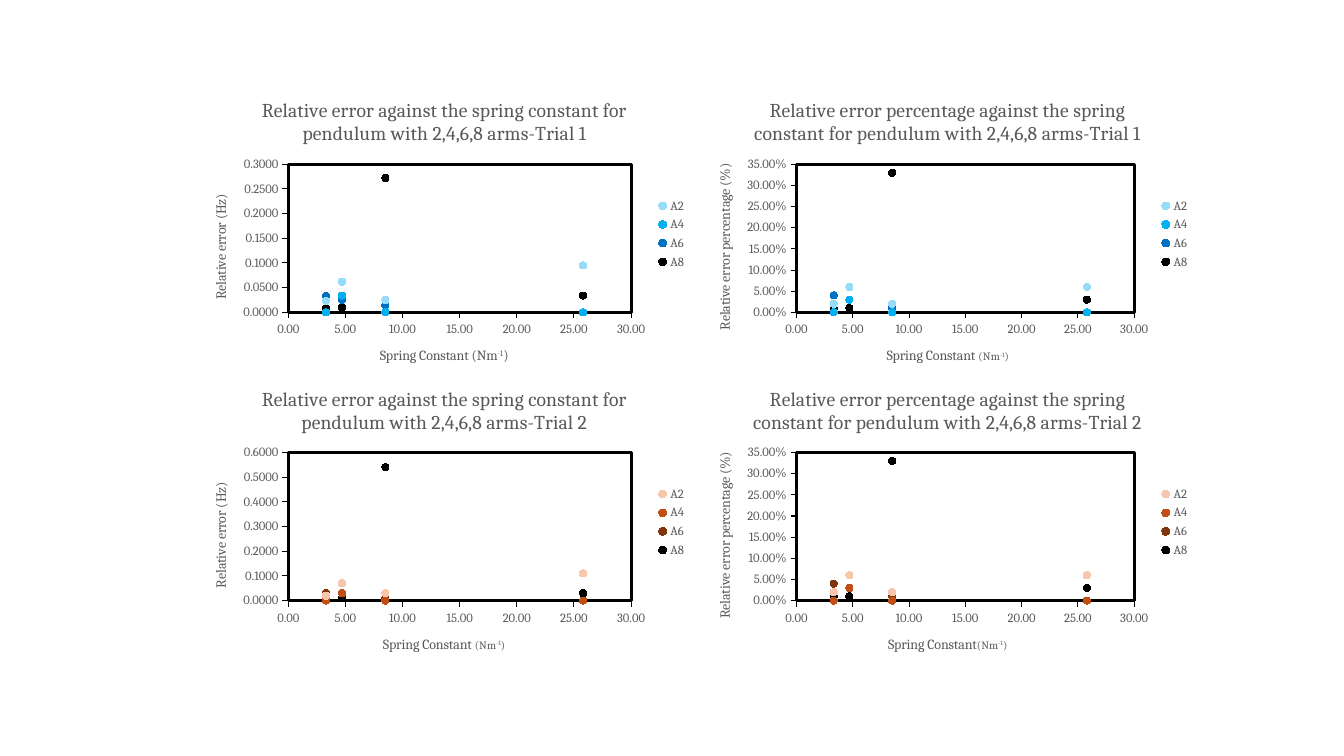
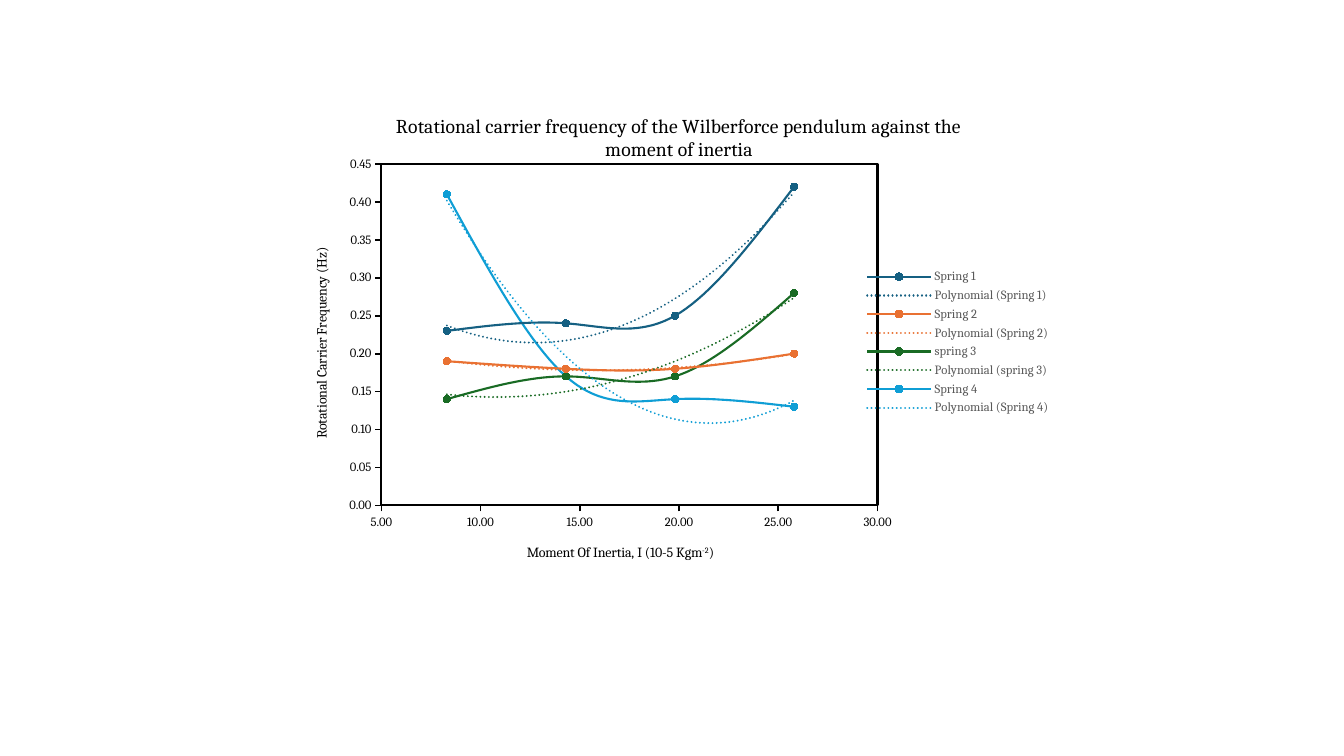
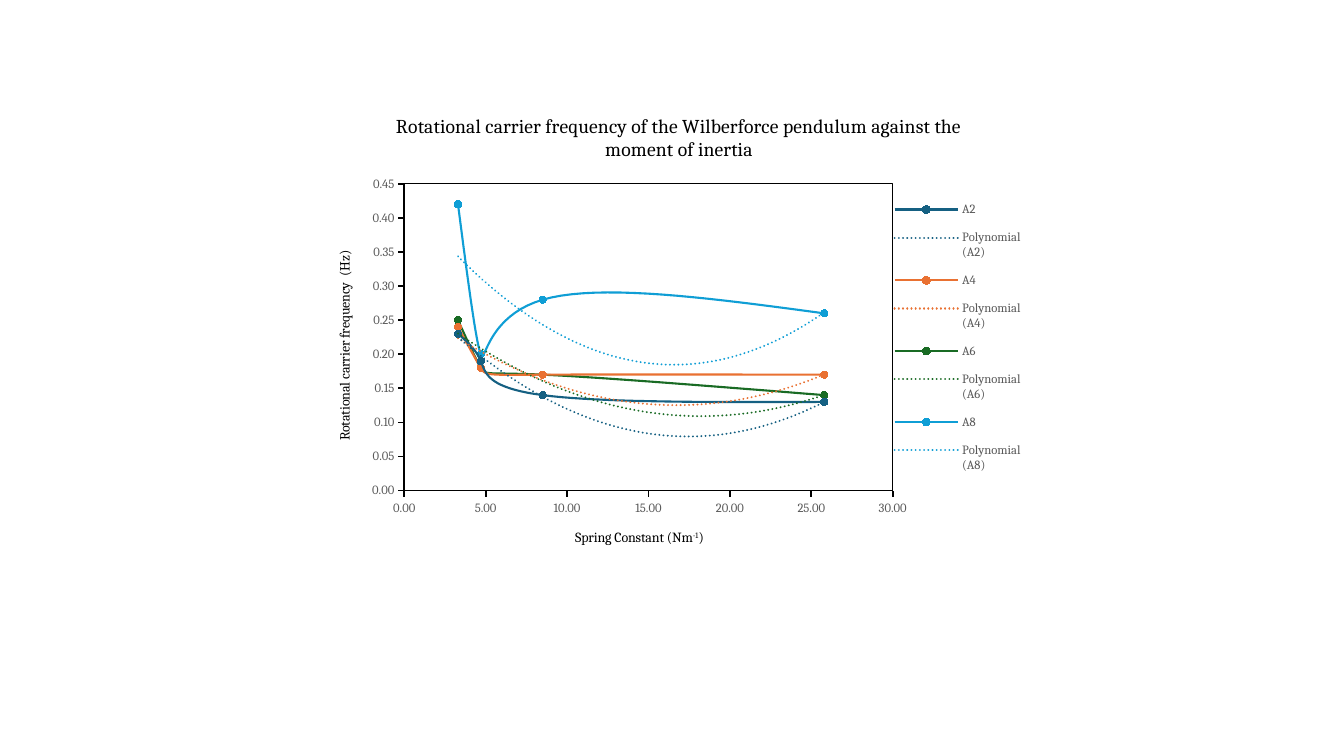
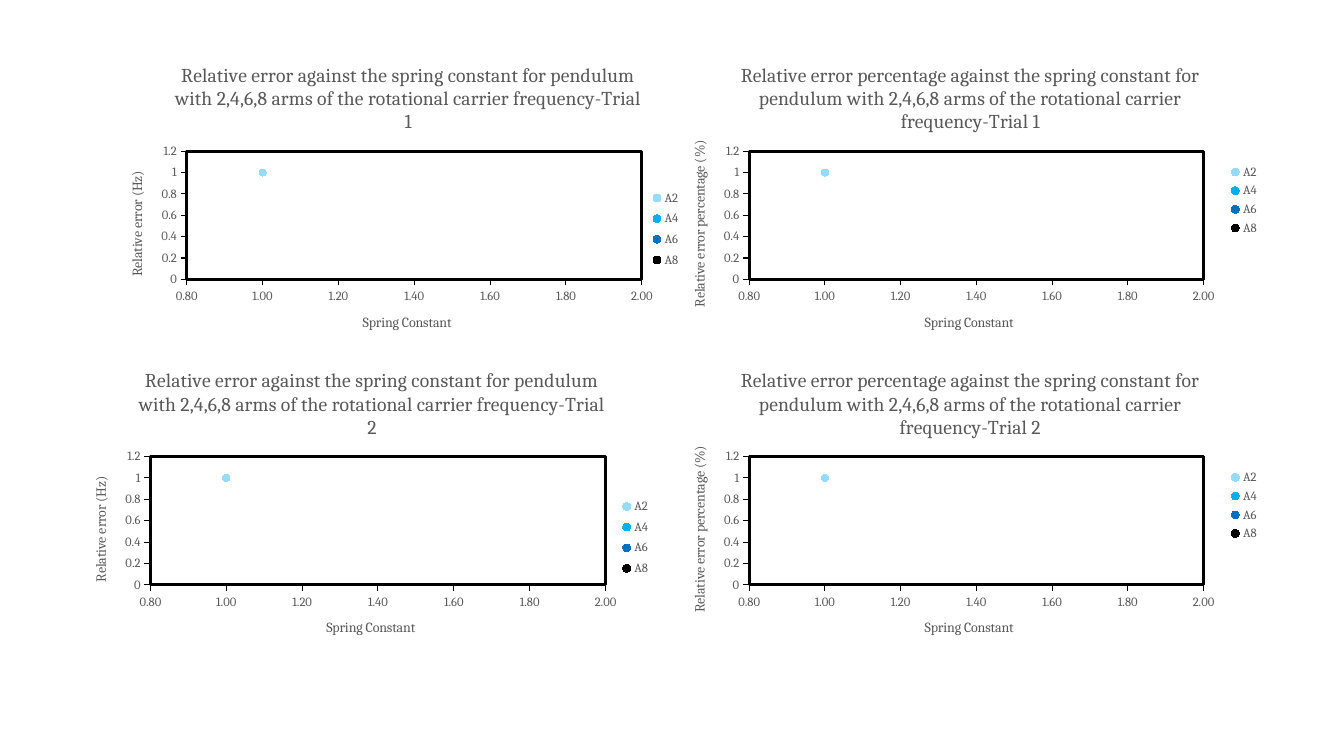
from dataclasses import dataclass
from typing import NamedTuple

from lxml import etree
from pptx import Presentation
from pptx import util as u
from pptx.chart import data as chart_data
from pptx.dml import color as dml
from pptx.enum import chart as kinds
from pptx.oxml import ns


@dataclass(frozen=True)
class Theme:
    font: str = "Cambria"
    black: str = "000000"
    grey: str = "595959"
    blues: tuple[str, ...] = ("96DCF8", "00B0F0", "0070C0", "000000")
    browns: tuple[str, ...] = ("F6C6AD", "C04F15", "80350E", "000000")
    accents: tuple[str, ...] = ("156082", "E97132", "196B24", "0F9ED5")
    heading: float = 14
    label: float = 10
    tick: float = 9
    unit: float = 8
    marker: int = 5
    curve: float = 1.5


THEME = Theme()


class Box(NamedTuple):
    left: float
    top: float
    width: float
    height: float


class Run(NamedTuple):
    text: str
    size: float = THEME.label
    raised: bool = False


class Scale(NamedTuple):
    low: float
    high: float
    step: float
    number_format: str


Label = tuple[Run, ...]
Readings = dict[str, tuple[float, ...]]


@dataclass(frozen=True)
class Style:
    heading_color: str = THEME.grey
    tick_color: str = THEME.grey
    axis_width: float = 0.75
    border_width: float = 2.25
    curved: bool = False


@dataclass(frozen=True)
class Graph:
    frame: Box
    heading: str
    x_label: Label
    y_label: str
    x_scale: Scale
    y_scale: Scale
    x_values: tuple[float, ...]
    readings: Readings
    palette: tuple[str, ...]
    plot: Box
    style: Style = Style()
    legend: Box | None = None


def rgb(value: str) -> dml.RGBColor:
    return dml.RGBColor.from_string(value)


def write_text(frame, *runs: Run, color: str, rotation: int = 0) -> None:
    paragraph = frame.paragraphs[0]
    for part in runs:
        run = paragraph.add_run()
        run.text = part.text
        run.font.name = THEME.font
        run.font.size = u.Pt(part.size)
        run.font.bold = False
        run.font.color.rgb = rgb(color)
        if part.raised:
            run._r.get_or_add_rPr().set("baseline", "30000")
    if rotation:
        body = frame._txBody.bodyPr
        body.set("rot", str(rotation * 60000))
        body.set("vert", "horz")


def format_font(font, size: float, color: str) -> None:
    font.name = THEME.font
    font.size = u.Pt(size)
    font.color.rgb = rgb(color)


def fragment(inner: str):
    return etree.fromstring(inner.replace(">", f" {ns.nsdecls('c', 'a')}>", 1))


def layout_xml(box: Box, inner: bool):
    target = '<c:layoutTarget val="inner"/>' if inner else ""
    modes = '<c:xMode val="edge"/><c:yMode val="edge"/>'
    sizes = "".join(f'<c:{key} val="{value}"/>' for key, value in zip("xywh", box))
    return fragment(f"<c:layout><c:manualLayout>{target}{modes}{sizes}</c:manualLayout></c:layout>")


def drop_layout(parent) -> None:
    for old in parent.findall(ns.qn("c:layout")):
        parent.remove(old)


def line_xml(color: str, width: float, dash: str = "solid", cap: str = "flat") -> str:
    return (f'<c:spPr><a:ln w="{u.Pt(width)}" cap="{cap}"><a:solidFill><a:srgbClr val="{color}"/></a:solidFill>'
            f'<a:prstDash val="{dash}"/></a:ln></c:spPr>')


def format_axis(axis, scale: Scale, label: Label, style: Style, rotation: int = 0) -> None:
    axis.minimum_scale, axis.maximum_scale, axis.major_unit = scale[:3]
    axis.has_major_gridlines = False
    axis.major_tick_mark = kinds.XL_TICK_MARK.OUTSIDE
    axis.minor_tick_mark = kinds.XL_TICK_MARK.NONE
    axis.tick_labels.number_format = scale.number_format
    axis.tick_labels.number_format_is_linked = False
    format_font(axis.tick_labels.font, THEME.tick, style.tick_color)
    axis.format.line.color.rgb = rgb(THEME.black)
    axis.format.line.width = u.Pt(style.axis_width)
    axis.has_title = True
    write_text(axis.axis_title.text_frame, *label, color=style.heading_color, rotation=rotation)


def format_series(series, color: str, curved: bool) -> None:
    series.marker.style = kinds.XL_MARKER_STYLE.CIRCLE
    series.marker.size = THEME.marker
    series.marker.format.fill.solid()
    series.marker.format.fill.fore_color.rgb = rgb(color)
    series.marker.format.line.color.rgb = rgb(color)
    element = series._element
    element.get_or_add_smooth().val = curved
    if not curved:
        series.format.line.fill.background()
        return
    series.format.line.color.rgb = rgb(color)
    series.format.line.width = u.Pt(THEME.curve)
    trend = fragment(
        f'<c:trendline>{line_xml(color, THEME.curve, "sysDot", "rnd")}<c:trendlineType val="poly"/>'
        '<c:order val="2"/><c:dispRSqr val="0"/><c:dispEq val="0"/></c:trendline>')
    element.find(ns.qn("c:xVal")).addprevious(trend)


def draw_graph(slide, graph: Graph) -> None:
    style = graph.style
    table = chart_data.XyChartData()
    for name, values in graph.readings.items():
        series = table.add_series(name)
        for x, y in zip(graph.x_values, values):
            series.add_data_point(x, y)
    kind = kinds.XL_CHART_TYPE.XY_SCATTER_SMOOTH if style.curved else kinds.XL_CHART_TYPE.XY_SCATTER
    chart = slide.shapes.add_chart(kind, *map(u.Inches, graph.frame), table).chart
    format_font(chart.font, THEME.label, THEME.black)
    chart.has_title = True
    write_text(chart.chart_title.text_frame, Run(graph.heading, THEME.heading), color=style.heading_color)
    format_axis(chart.category_axis, graph.x_scale, graph.x_label, style)
    format_axis(chart.value_axis, graph.y_scale, (Run(graph.y_label),), style, rotation=-90)
    chart.plots[0].vary_by_categories = False
    for series, color in zip(chart.plots[0].series, graph.palette):
        format_series(series, color, style.curved)

    area = chart._chartSpace.chart.plotArea
    drop_layout(area)
    area.insert(0, layout_xml(graph.plot, inner=True))
    area.append(fragment(line_xml(THEME.black, style.border_width)))

    chart.has_legend = True
    chart.legend.position = kinds.XL_LEGEND_POSITION.RIGHT
    chart.legend.include_in_layout = False
    format_font(chart.legend.font, THEME.tick, THEME.grey)
    if graph.legend:
        legend = chart.legend._element
        drop_layout(legend)
        legend.find(ns.qn("c:overlay")).addprevious(layout_xml(graph.legend, inner=False))


SPRINGS = (3.3, 4.7, 8.5, 25.8)
INERTIAS = (8.3, 14.3, 19.8, 25.8)
ARMS = ("A2", "A4", "A6", "A8")
ERROR = "Relative error"
HERTZ = "Relative error (Hz)"
PERCENT = "Relative error percentage (%)"
SPRING_SCALE = Scale(0, 30, 5, "#,##0.00")
PERCENT_SCALE = Scale(0, 0.35, 0.05, "0.00%")
FREQUENCY_SCALE = Scale(0, 0.45, 0.05, "#,##0.00")
PERCENT_READINGS: Readings = dict(zip(ARMS, (
    (0.02, 0.06, 0.02, 0.06), (0, 0.03, 0, 0), (0.04, 0.03, 0.01, 0), (0.01, 0.01, 0.33, 0.03))))
TRIAL_1: Readings = dict(zip(ARMS, (
    (0.023, 0.062, 0.025, 0.095), (0, 0.034, 0, 0), (0.033, 0.025, 0.014, 0), (0.009, 0.01, 0.272, 0.034))))
TRIAL_2: Readings = dict(zip(ARMS, (
    (0.02, 0.07, 0.03, 0.11), (0, 0.03, 0, 0), (0.03, 0.03, 0.01, 0), (0.01, 0.01, 0.54, 0.03))))


def spring_label(lead: str = "Spring Constant ", size: float = THEME.label) -> Label:
    return Run(lead), Run("(Nm", size), Run("-1", size, True), Run(")", size)


def error_graphs() -> list[Graph]:
    small = spring_label(size=THEME.unit)
    tight = spring_label("Spring Constant", THEME.unit)
    trials = (
        (1, 0.82, THEME.blues, TRIAL_1, Scale(0, 0.3, 0.05, "0.0000"), spring_label(), small),
        (2, 3.68, THEME.browns, TRIAL_2, Scale(0, 0.6, 0.1, "0.0000"), small, tight),
    )
    graphs = []
    for trial, top, palette, readings, scale, left_label, right_label in trials:
        ending = f"against the spring constant for pendulum with 2,4,6,8 arms-Trial {trial}"
        graphs += [
            Graph(Box(1.91, top, 5, 3), f"{ERROR} {ending}", left_label, HERTZ, SPRING_SCALE, scale,
                  SPRINGS, readings, palette, Box(0.19, 0.27, 0.68, 0.49)),
            Graph(Box(6.9, top, 5, 3), f"{ERROR} percentage {ending}", right_label, PERCENT, SPRING_SCALE,
                  PERCENT_SCALE, SPRINGS, PERCENT_READINGS, palette, Box(0.2, 0.27, 0.67, 0.49)),
        ]
    return graphs


def frequency_graphs() -> tuple[Graph, Graph]:
    frame = Box(2.95, 0.94, 7.57, 4.91)
    heading = "Rotational carrier frequency of the Wilberforce pendulum against the moment of inertia"
    by_inertia = Graph(
        frame, heading, (Run("Moment Of Inertia, I (10-5 Kgm"), Run("-2", raised=True), Run(")")),
        "Rotational Carrier Frequency (Hz)", Scale(5, 30, 5, "#,##0.00"), FREQUENCY_SCALE, INERTIAS,
        {"Spring 1": (0.23, 0.24, 0.25, 0.42), "Spring 2": (0.19, 0.18, 0.18, 0.2),
         "spring 3": (0.14, 0.17, 0.17, 0.28), "Spring 4": (0.41, 0.17, 0.14, 0.13)},
        THEME.accents, Box(0.11, 0.14, 0.65, 0.69),
        Style(THEME.black, THEME.black, 1.25, 1.5, True))
    by_spring = Graph(
        frame, heading, spring_label(), "Rotational carrier frequency  (Hz)",
        Scale(0, 30, 5, "0.00"), FREQUENCY_SCALE, SPRINGS,
        dict(zip(ARMS, ((0.23, 0.19, 0.14, 0.13), (0.24, 0.18, 0.17, 0.17),
                        (0.25, 0.18, 0.17, 0.14), (0.42, 0.2, 0.28, 0.26)))),
        THEME.accents, Box(0.14, 0.18, 0.64, 0.62),
        Style(THEME.black, THEME.grey, 1.25, 0.75, True), Box(0.78, 0.19, 0.17, 0.6))
    return by_inertia, by_spring


def carrier_error_graphs() -> list[Graph]:
    x_scale = Scale(0.8, 2, 0.2, "#,##0.00")
    y_scale = Scale(0, 1.2, 0.2, "General")
    readings: Readings = {arm: (1,) for arm in ARMS}
    plot = Box(0.13, 0.34, 0.76, 0.42)
    rows = ((1, 1.08, 0.47, Box(0.9, 0.45, 0.06, 0.29)), (2, 0.72, 3.5, Box(0.91, 0.46, 0.06, 0.29)))
    graphs = []
    for trial, left, top, legend in rows:
        ending = ("against the spring constant for pendulum with 2,4,6,8 arms "
                  f"of the rotational carrier frequency-Trial {trial}")
        columns = ((left, 5.94, ERROR, HERTZ, legend), (6.66, 5.93, f"{ERROR} percentage", PERCENT, None))
        for start, width, subject, y_label, place in columns:
            graphs.append(Graph(
                Box(start, top, width, 3.03), f"{subject} {ending}", (Run("Spring Constant"),), y_label,
                x_scale, y_scale, (1,), readings, THEME.blues, plot, legend=place))
    return graphs


def main() -> None:
    deck = Presentation()
    deck.slide_width, deck.slide_height = u.Inches(13.33), u.Inches(7.5)
    by_inertia, by_spring = frequency_graphs()
    for graphs in (error_graphs(), [by_inertia], [by_spring], carrier_error_graphs()):
        slide = deck.slides.add_slide(deck.slide_layouts[6])
        for graph in graphs:
            draw_graph(slide, graph)
    deck.save("out.pptx")


if __name__ == "__main__":
    main()
